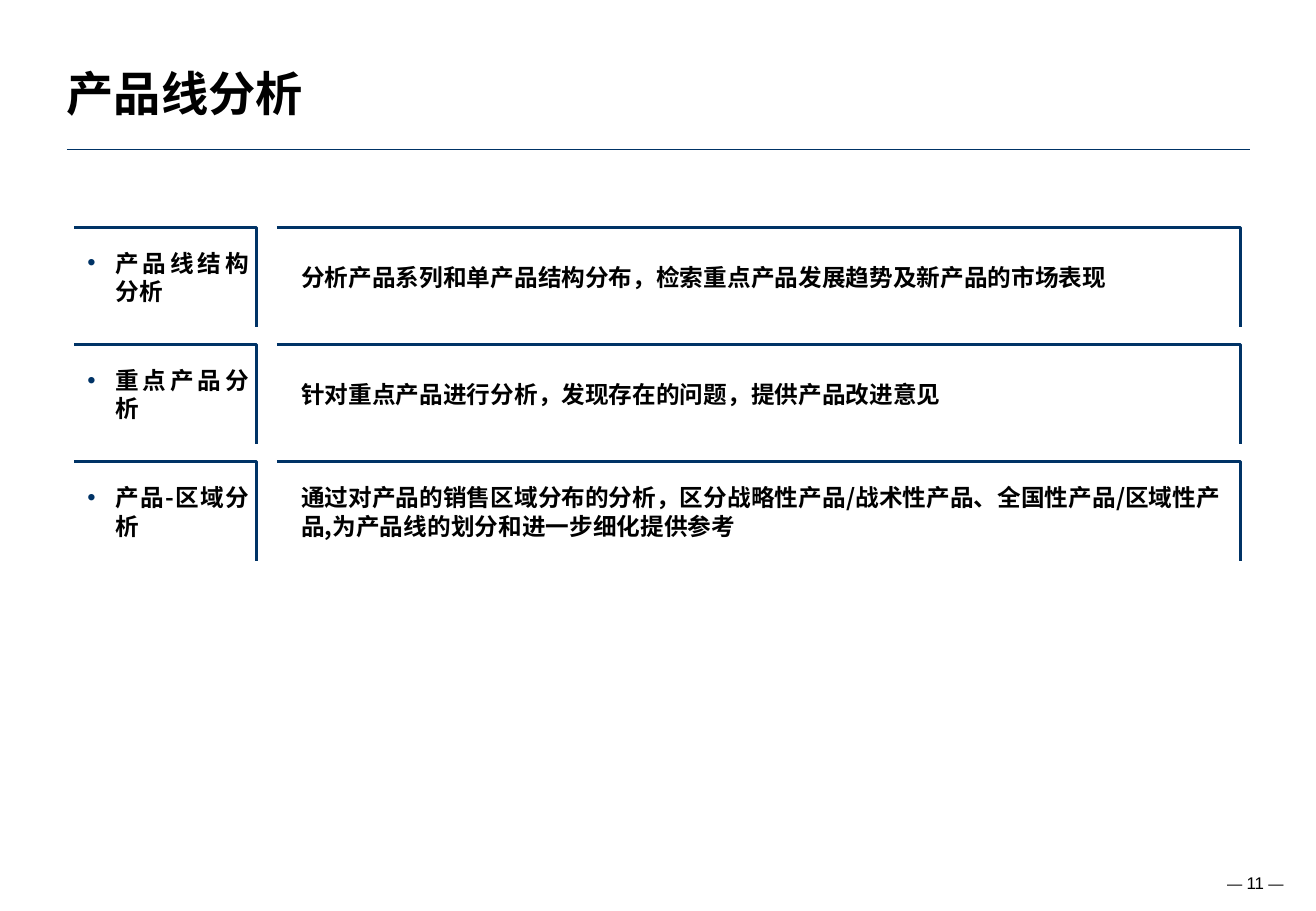
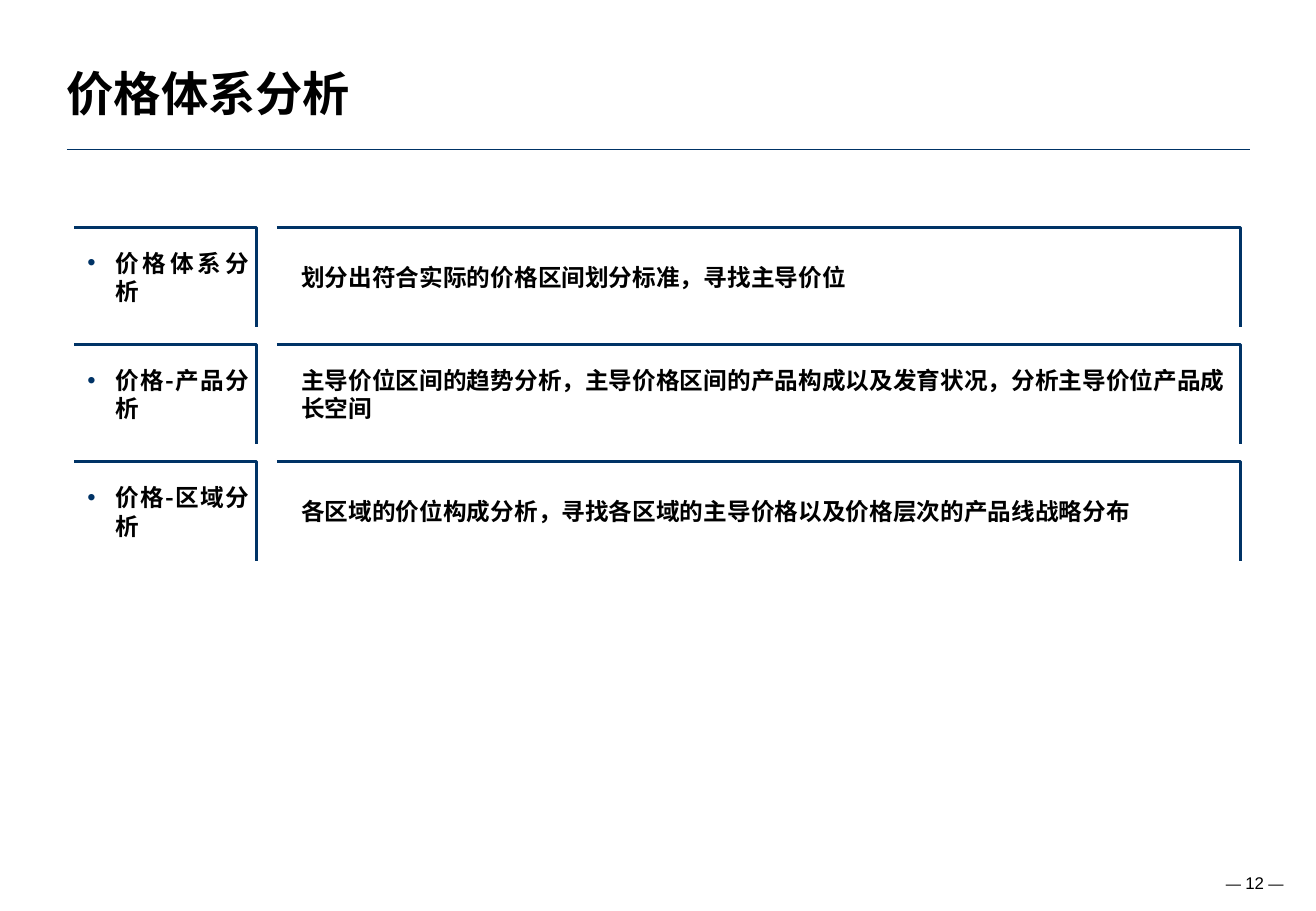
from dataclasses import dataclass

from lxml import etree
from pptx import Presentation, util as u
from pptx.dml.color import RGBColor
from pptx.enum import shapes, text
from pptx.oxml.ns import qn


@dataclass(frozen=True)
class Theme:
    ink: str = "000000"
    accent: str = "003366"
    cjk_font: str = "Noto Sans CJK SC"
    latin_font: str = "Arial"
    title_size: float = 28
    body_size: float = 14
    body_leading: float = 16.9
    number_size: float = 10
    dash_size: float = 9
    rule_width: float = 1
    frame_width: float = 1.75


@dataclass(frozen=True)
class Box:
    left: float
    top: float
    width: float
    height: float


@dataclass(frozen=True)
class Column:
    """A frame column with the text column inside it, in inches."""
    left: float
    width: float
    text_left: float
    text_width: float
    bulleted: bool = False


@dataclass(frozen=True)
class Topic:
    label: str
    description: str


@dataclass(frozen=True)
class Page:
    number: int
    title: str
    topics: tuple[Topic, ...]


THEME = Theme()
SLIDE_WIDTH, SLIDE_HEIGHT = 10.83, 7.5
TITLE_BOX = Box(0.55, 0.35, 8.64, 0.65)
NUMBER_BOX = Box(9.77, 7.06, 0.89, 0.42)
RULE_LEFT, RULE_RIGHT, RULE_TOP = 0.55, 10.29, 1.23

LABEL_COLUMN = Column(0.61, 1.5, 0.72, 1.33, bulleted=True)
DESCRIPTION_COLUMN = Column(2.28, 7.93, 2.48, 7.64)
FIRST_ROW, LAST_ROW, ROW_COUNT = 1.87, 3.8, 3
ROW_PITCH = (LAST_ROW - FIRST_ROW) / (ROW_COUNT - 1)
FRAME_HEIGHT, TEXT_HEIGHT = 0.82, 0.47
BULLET_INDENT = 0.23

PAGES = (
    Page(11, "产品线分析", (
        Topic("产品线结构分析",
              "分析产品系列和单产品结构分布，检索重点产品发展趋势及新产品的市场表现"),
        Topic("重点产品分析",
              "针对重点产品进行分析，发现存在的问题，提供产品改进意见"),
        Topic("产品-区域分析",
              "通过对产品的销售区域分布的分析，区分战略性产品/战术性产品、"
              "全国性产品/区域性产品,为产品线的划分和进一步细化提供参考"),
    )),
    Page(12, "价格体系分析", (
        Topic("价格体系分析",
              "划分出符合实际的价格区间划分标准，寻找主导价位"),
        Topic("价格-产品分析",
              "主导价位区间的趋势分析，主导价格区间的产品构成以及发育状况，"
              "分析主导价位产品成长空间"),
        Topic("价格-区域分析",
              "各区域的价位构成分析，寻找各区域的主导价格以及价格层次的产品线战略分布"),
    )),
)


def add_text_box(slide, box: Box, anchor, margins=(0, 0)):
    """Add a wrapping text box and return its first paragraph."""
    shape = slide.shapes.add_textbox(
        *map(u.Inches, (box.left, box.top, box.width, box.height)))
    horizontal, vertical = map(u.Inches, margins)
    frame_format = {
        "word_wrap": True, "vertical_anchor": anchor,
        "margin_left": horizontal, "margin_right": horizontal,
        "margin_top": vertical, "margin_bottom": vertical,
    }
    for name, value in frame_format.items():
        setattr(shape.text_frame, name, value)
    return shape.text_frame.paragraphs[0]


def add_run(paragraph, content: str, size: float, font: str, bold: bool = False) -> None:
    run = paragraph.add_run()
    run.text = content
    for name, value in {"size": u.Pt(size), "name": font, "bold": bold}.items():
        setattr(run.font, name, value)
    run.font.color.rgb = RGBColor.from_string(THEME.ink)
    east_asian = etree.SubElement(run.font._element, qn("a:ea"))
    east_asian.set("typeface", font)


def add_bullet(paragraph) -> None:
    properties = paragraph._p.get_or_add_pPr()
    indent = u.Inches(BULLET_INDENT)
    properties.set("marL", str(indent))
    properties.set("indent", str(-indent))
    color = etree.SubElement(properties, qn("a:buClr"))
    etree.SubElement(color, qn("a:srgbClr")).set("val", THEME.accent)
    etree.SubElement(properties, qn("a:buFont")).set("typeface", THEME.latin_font)
    etree.SubElement(properties, qn("a:buChar")).set("char", "•")


def style_line(line, width: float) -> None:
    line.color.rgb = RGBColor.from_string(THEME.accent)
    line.width = u.Pt(width)


def add_page_furniture(slide, page: Page) -> None:
    """Draw the title, the rule below it and the page number."""
    number = add_text_box(slide, NUMBER_BOX, text.MSO_ANCHOR.MIDDLE, (0.1, 0.05))
    number.alignment = text.PP_ALIGN.RIGHT
    for content, size in (("— ", THEME.dash_size),
                          (str(page.number), THEME.number_size),
                          (" —", THEME.dash_size)):
        add_run(number, content, size, THEME.latin_font)

    rule = slide.shapes.add_connector(
        shapes.MSO_CONNECTOR.STRAIGHT,
        *map(u.Inches, (RULE_LEFT, RULE_TOP, RULE_RIGHT, RULE_TOP)))
    style_line(rule.line, THEME.rule_width)
    etree.SubElement(rule._element.spPr, qn("a:effectLst"))

    title = add_text_box(slide, TITLE_BOX, text.MSO_ANCHOR.BOTTOM)
    add_run(title, page.title, THEME.title_size, THEME.cjk_font, bold=True)


def add_corner_frame(slide, column: Column, top: float) -> None:
    """Draw the open outline along the top and right of a cell."""
    left, right, upper, lower = map(u.Inches, (
        column.left, column.left + column.width, top, top + FRAME_HEIGHT))
    builder = slide.shapes.build_freeform(left, upper)
    builder.add_line_segments([(right, upper), (right, lower)], close=False)
    frame = builder.convert_to_shape()
    frame.shadow.inherit = False
    frame.fill.background()
    style_line(frame.line, THEME.frame_width)


def add_cell(slide, column: Column, row: int, content: str) -> None:
    top = FIRST_ROW + row * ROW_PITCH
    text_top = top + (FRAME_HEIGHT - TEXT_HEIGHT) / 2
    box = Box(column.text_left, text_top, column.text_width, TEXT_HEIGHT)
    paragraph = add_text_box(slide, box, text.MSO_ANCHOR.MIDDLE)
    paragraph.line_spacing = u.Pt(THEME.body_leading)
    if column.bulleted:
        paragraph.alignment = text.PP_ALIGN.JUSTIFY
        add_bullet(paragraph)
    add_run(paragraph, content, THEME.body_size, THEME.cjk_font, bold=True)
    add_corner_frame(slide, column, top)


def main() -> None:
    presentation = Presentation()
    presentation.slide_width = u.Inches(SLIDE_WIDTH)
    presentation.slide_height = u.Inches(SLIDE_HEIGHT)
    blank_layout = presentation.slide_layouts[6]
    for page in PAGES:
        slide = presentation.slides.add_slide(blank_layout)
        add_page_furniture(slide, page)
        for row, topic in enumerate(page.topics):
            add_cell(slide, LABEL_COLUMN, row, topic.label)
            add_cell(slide, DESCRIPTION_COLUMN, row, topic.description)
    presentation.save("out.pptx")


if __name__ == "__main__":
    main()
